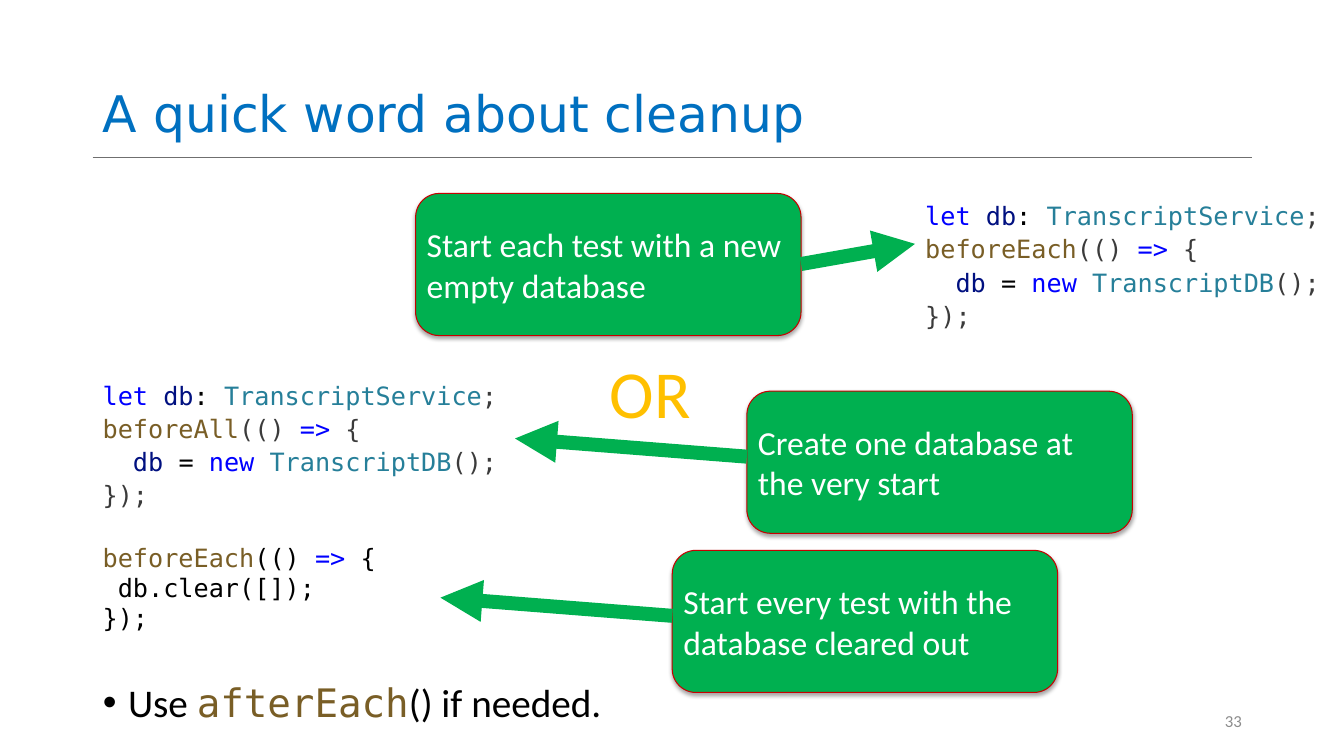
from dataclasses import dataclass
from lxml import etree
from pptx import Presentation
from pptx.dml.color import RGBColor
from pptx.enum.shapes import MSO_CONNECTOR as CONN, MSO_SHAPE as SHAPE
from pptx.enum.text import MSO_ANCHOR as ANCHOR, MSO_AUTO_SIZE as FIT, PP_ALIGN as ALIGN
from pptx.oxml import parse_xml
from pptx.oxml.ns import nsdecls, qn
from pptx.util import Pt


@dataclass(frozen=True)
class Theme:
    title: str = "0070C0"
    rule: str = "6F6F6F"
    box: str = "00B050"
    box_line: str = "C70000"
    box_text: str = "FFFFFF"
    accent: str = "FFC000"
    number: str = "8C8C8C"
    keyword: str = "0000FF"
    variable: str = "001080"
    plain: str = "000000"
    type_name: str = "267F99"
    punct: str = "3B3B3B"
    function: str = "795E26"
    sans: str = "Calibri"
    head: str = "DejaVu Sans"
    mono: str = "DejaVu Sans Mono"
    title_size: int = 36
    code_size: int = 18
    box_size: int = 24
    body_size: int = 28
    or_size: int = 48
    number_size: int = 12


T = Theme()

# Content
TITLE = "A quick word about cleanup"
NUMBER = "33"
BODY = [("Use ", T.sans, T.plain), ("afterEach", T.mono, T.function),
        ("() if needed.", T.sans, T.plain)]


def setup_code(hook):
    """Code lines that create the database inside the given hook."""
    return [
        [("let ", T.keyword), ("db", T.variable), (": ", T.plain),
         ("TranscriptService", T.type_name), (";", T.punct)],
        [(hook, T.function), ("(() ", T.punct), ("=>", T.keyword), (" {", T.punct)],
        [("  db ", T.variable), ("= ", T.plain), ("new ", T.keyword),
         ("TranscriptDB", T.type_name), ("();", T.punct)],
        [("});", T.punct)],
    ]


CLEAR_CODE = [
    [("beforeEach", T.function), ("(() ", T.plain), ("=>", T.keyword), (" {", T.plain)],
    [("\N{NO-BREAK SPACE}db.clear([]);", T.plain)],
    [("});", T.plain)],
]

# Layout, in points
LEFT, RULE_Y, RULE_END = 66.24, 112.5, 894.24
BOX_W, BOX_H = 275.3, 101.5
TO_LEFT = (0, 46.8, -165.6, -13)
# text, left, top, (arrow start in box x and y, arrow run x and y)
CALLOUTS = [
    ("Start each test with a new empty database", 296.9, 138.2,
     (BOX_W, 50.4, 81.4, -14.4)),
    ("Create one database at the very start", 533.5, 279.4, TO_LEFT),
    ("Start every test with the database cleared out", 480.2, 393.1, TO_LEFT),
]

prs = Presentation()
prs.slide_width, prs.slide_height = Pt(960), Pt(540)
s = prs.slides.add_slide(prs.slide_layouts[1])


def place(sp, x, y, w, h):
    sp.left, sp.top, sp.width, sp.height = Pt(x), Pt(y), Pt(w), Pt(h)


def style(r, size, color, font):
    r.font.size, r.font.name = Pt(size), font
    r.font.color.rgb = RGBColor.from_string(color)


def add_run(p, text, size, color, font):
    r = p.add_run()
    r.text = text
    style(r, size, color, font)


def add_text(x, y, w, h, anchor=ANCHOR.TOP, wrap=True):
    tf = s.shapes.add_textbox(Pt(x), Pt(y), Pt(w), Pt(h)).text_frame
    tf.word_wrap, tf.vertical_anchor = wrap, anchor
    return tf


def add_code(tf, lines, spacing, gap=0):
    for i, line in enumerate(lines):
        p = tf.add_paragraph() if tf.text else tf.paragraphs[0]
        p.line_spacing = spacing
        p.space_before = Pt(0 if i else gap)
        for text, color in line:
            add_run(p, text, T.code_size, color, T.mono)


def add_line(x1, y1, x2, y2, color, width, arrow=False):
    c = s.shapes.add_connector(CONN.STRAIGHT, Pt(x1), Pt(y1), Pt(x2), Pt(y2))
    c.line.color.rgb = RGBColor.from_string(color)
    c.line.width = Pt(width)
    if arrow:
        etree.SubElement(c.line._get_or_add_ln(), qn("a:tailEnd"), type="triangle")
    etree.SubElement(c._element.spPr, qn("a:effectLst"))


def add_callout(text, x, y, arrow):
    sp = s.shapes.add_shape(SHAPE.ROUNDED_RECTANGLE, Pt(x), Pt(y), Pt(BOX_W), Pt(BOX_H))
    sp.fill.solid()
    sp.fill.fore_color.rgb = RGBColor.from_string(T.box)
    sp.line.color.rgb = RGBColor.from_string(T.box_line)
    sp.line.width = Pt(0.75)
    sp._element.spPr.append(parse_xml(
        f'<a:effectLst {nsdecls("a")}><a:outerShdw blurRad="{Pt(3)}" dist="{Pt(1.8)}" '
        'dir="5400000" rotWithShape="0"><a:srgbClr val="000000"><a:alpha val="35000"/>'
        '</a:srgbClr></a:outerShdw></a:effectLst>'))
    tf = sp.text_frame
    tf.word_wrap, tf.vertical_anchor = True, ANCHOR.MIDDLE
    tf.margin_left = tf.margin_right = tf.margin_top = tf.margin_bottom = Pt(3)
    p = tf.paragraphs[0]
    p.alignment = ALIGN.LEFT
    add_run(p, text, T.box_size, T.box_text, T.sans)
    dx, dy, run_x, run_y = arrow
    add_line(x + dx, y + dy, x + dx + run_x, y + dy + run_y, T.box, 10, arrow=True)


# Title and rule
add_line(LEFT, RULE_Y, RULE_END, RULE_Y, T.rule, 0.5)
title = s.shapes.title
place(title, LEFT, 1.44, 828, 104.4)
tf = title.text_frame
tf.auto_size, tf.vertical_anchor = FIT.NONE, ANCHOR.BOTTOM
p = tf.paragraphs[0]
p.alignment, p.line_spacing = ALIGN.LEFT, 0.9
add_run(p, TITLE, T.title_size, T.title, T.head)

# Code samples
tf = add_text(LEFT, 265.7, 848, 214.6)
add_code(tf, setup_code("beforeAll"), 1.1)
add_code(tf, CLEAR_CODE, 1.0, gap=23)
add_code(add_text(653.8, 137.5, 479.5, 101.5), setup_code("beforeEach"), 1.1)

# Callouts with arrows
for callout in CALLOUTS:
    add_callout(*callout)

# OR between the two options
tf = add_text(428.4, 243.4, 72, 72, ANCHOR.MIDDLE, wrap=False)
add_run(tf.paragraphs[0], "OR", T.or_size, T.accent, T.sans)

# Closing bullet
body = s.placeholders[1]
place(body, LEFT, 481, 759.6, 101.5)
tf = body.text_frame
tf.auto_size = FIT.NONE
p = tf.paragraphs[0]
p.space_before = Pt(10)
pPr = p._p.get_or_add_pPr()
pPr.set("marL", str(Pt(18)))
pPr.set("indent", str(-Pt(18)))
etree.SubElement(pPr, qn("a:buChar"), char="•")
for text, font, color in BODY:
    add_run(p, text, T.body_size, color, font)

# Slide number
p = add_text(678.24, 500.4, 216, 28.8, ANCHOR.MIDDLE).paragraphs[0]
p.alignment = ALIGN.RIGHT
add_run(p, NUMBER, T.number_size, T.number, T.sans)

prs.save("out.pptx")
